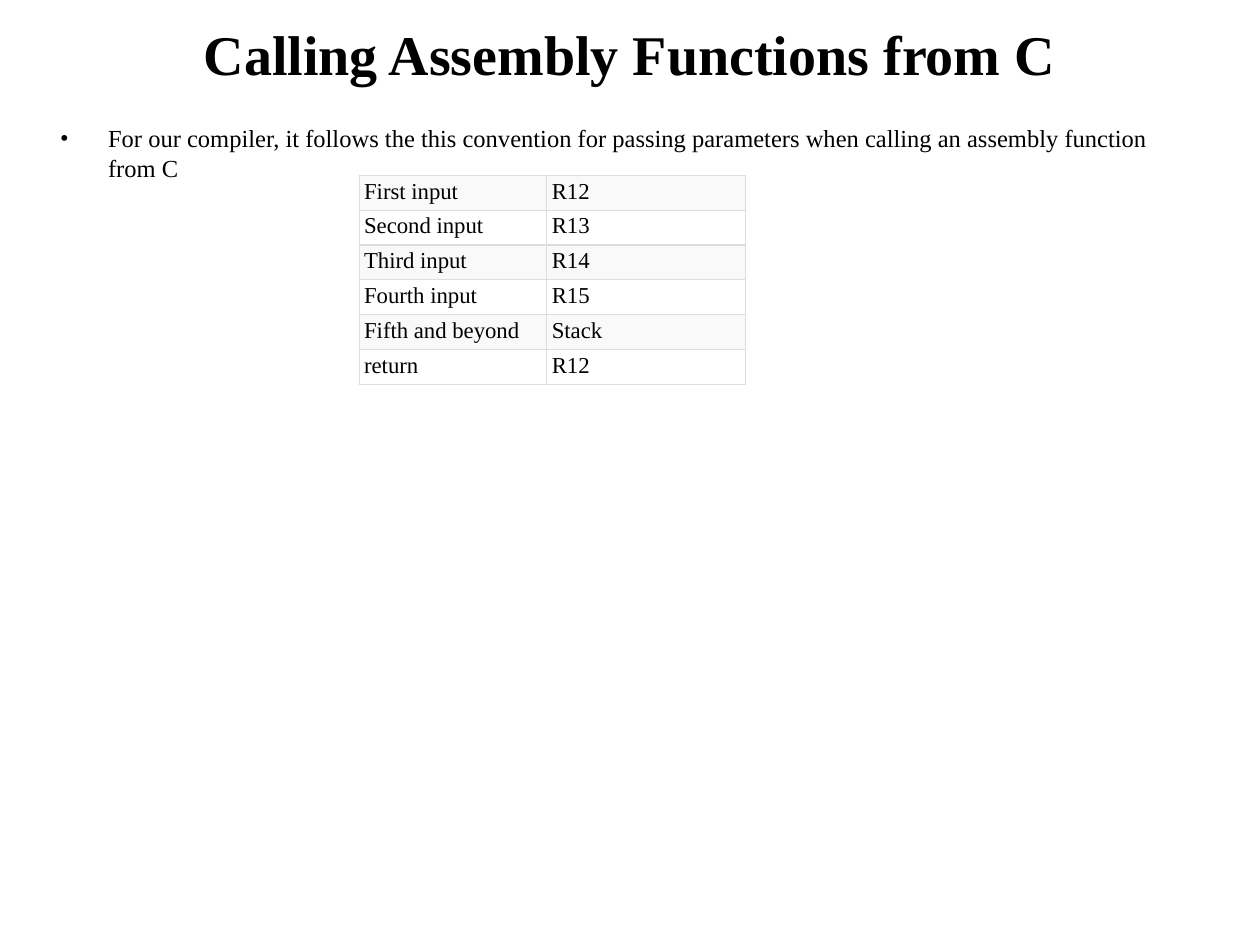
from lxml.etree import SubElement
from pptx import Presentation
from pptx.dml.color import RGBColor
from pptx.enum.text import MSO_ANCHOR as Anchor, MSO_AUTO_SIZE as AutoSize, PP_ALIGN as Align
from pptx.oxml.ns import qn
from pptx.util import Inches, Pt

BLACK = RGBColor(0x00, 0x00, 0x00)
WHITE = RGBColor(0xFF, 0xFF, 0xFF)
STRIPE = RGBColor(0xF9, 0xF9, 0xF9)
BORDER = RGBColor(0xDD, 0xDD, 0xDD)
FONT = "Times New Roman"
WIDTH, HEIGHT = 10, 7.5
COLUMN_WIDTHS = (1.49, 1.58)
ROW_HEIGHT = 0.27
REGISTERS = (
    ("First input", "R12"),
    ("Second input", "R13"),
    ("Third input", "R14"),
    ("Fourth input", "R15"),
    ("Fifth and beyond", "Stack"),
    ("return", "R12"),
)


def write(frame, text, size, bold=False, align=Align.LEFT):
    frame.word_wrap = True
    paragraph = frame.paragraphs[0]
    paragraph.alignment = align
    run = paragraph.add_run()
    run.text = text
    run.font.name = FONT
    run.font.size = Pt(size)
    run.font.bold = bold
    run.font.color.rgb = BLACK
    return paragraph


def add_title(slide, text):
    title = slide.shapes.title
    title.left, title.top = Inches(0.075 * WIDTH), Inches(0.17)
    title.width, title.height = Inches(0.85 * WIDTH), Inches(0.5)
    title.text_frame.auto_size = AutoSize.NONE
    title.text_frame.vertical_anchor = Anchor.MIDDLE
    write(title.text_frame, text, 32, bold=True, align=Align.CENTER)


def add_bullet(slide, text):
    body = slide.shapes.add_textbox(Inches(0.38), Inches(0.93), Inches(8.84), Inches(6.29))
    paragraph = write(body.text_frame, text, 14)
    properties = paragraph._p.get_or_add_pPr()
    properties.set("marL", str(Inches(0.38)))
    properties.set("indent", str(-Inches(0.38)))
    spacing = SubElement(properties, qn("a:spcBef"))
    SubElement(spacing, qn("a:spcPct"), val="20000")
    SubElement(properties, qn("a:buFont"), typeface=FONT)
    SubElement(properties, qn("a:buChar"), char="•")


def set_borders(cell):
    properties = cell._tc.get_or_add_tcPr()
    for index, side in enumerate(("lnL", "lnR", "lnT", "lnB")):
        line = properties.makeelement(qn(f"a:{side}"), {"w": str(Pt(0.75))})
        fill = SubElement(line, qn("a:solidFill"))
        SubElement(fill, qn("a:srgbClr"), val=str(BORDER))
        properties.insert(index, line)


def add_register_table(slide):
    table = slide.shapes.add_table(
        len(REGISTERS), len(COLUMN_WIDTHS), Inches(2.85), Inches(1.39),
        Inches(sum(COLUMN_WIDTHS)), Inches(ROW_HEIGHT * len(REGISTERS))).table
    table.first_row = table.horz_banding = False
    for column, width in zip(table.columns, COLUMN_WIDTHS):
        column.width = Inches(width)
    for row_index, entries in enumerate(REGISTERS):
        table.rows[row_index].height = Inches(ROW_HEIGHT)
        for column_index, entry in enumerate(entries):
            cell = table.cell(row_index, column_index)
            cell.margin_left = cell.margin_right = Inches(0.04)
            cell.margin_top = cell.margin_bottom = Inches(0.03)
            cell.fill.solid()
            cell.fill.fore_color.rgb = WHITE if row_index % 2 else STRIPE
            write(cell.text_frame, entry, 13)
            set_borders(cell)


def main():
    deck = Presentation()
    deck.slide_width, deck.slide_height = Inches(WIDTH), Inches(HEIGHT)
    slide = deck.slides.add_slide(deck.slide_layouts[5])
    add_title(slide, "Calling Assembly Functions from C")
    add_bullet(slide, "For our compiler, it follows the this convention for passing "
                      "parameters when calling an assembly function from C")
    add_register_table(slide)
    deck.save("out.pptx")


main()
